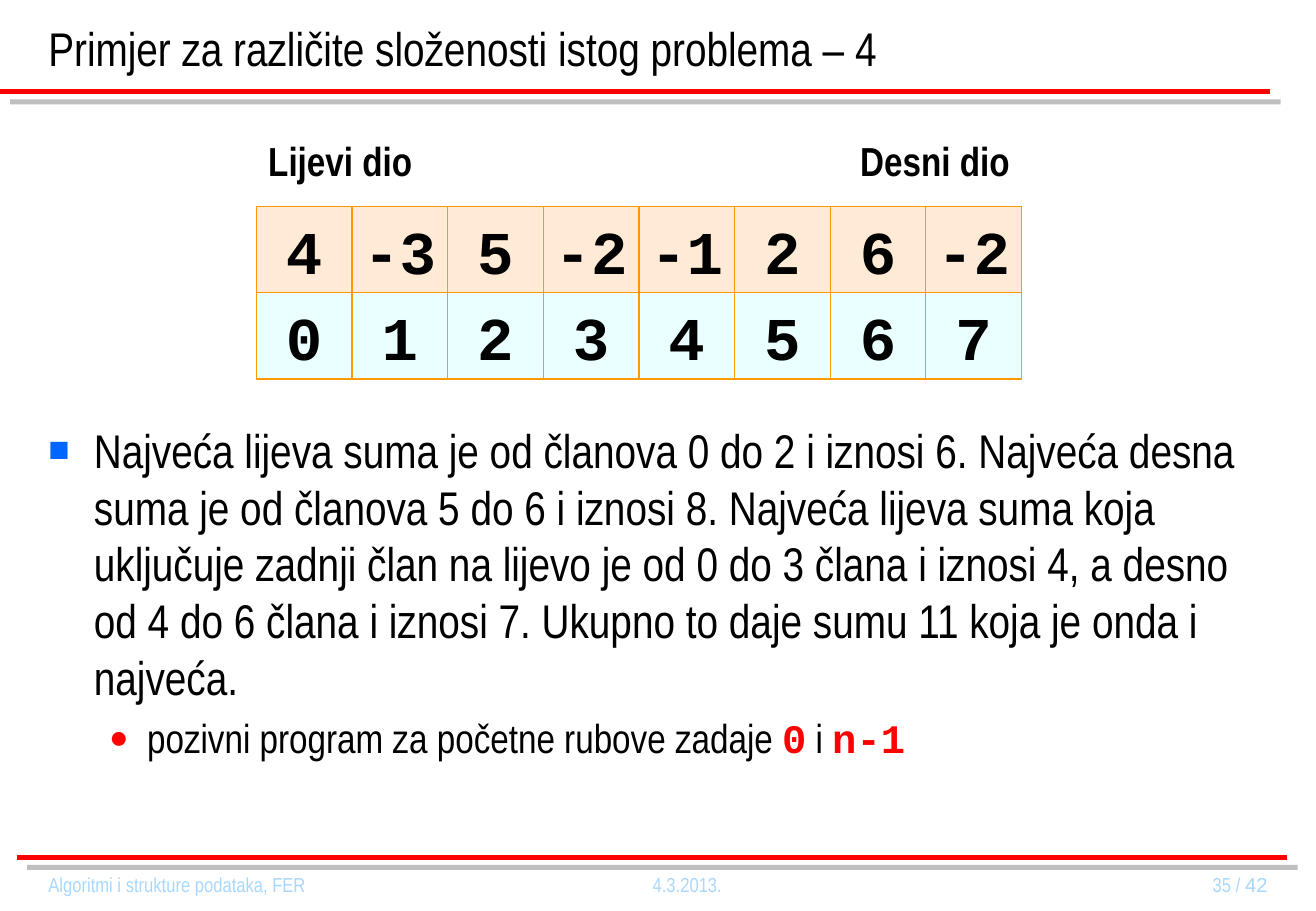
from lxml import etree
from pptx import Presentation
from pptx.dml.color import RGBColor
from pptx.enum.shapes import MSO_CONNECTOR, MSO_SHAPE
from pptx.enum.text import MSO_ANCHOR as Anchor, PP_ALIGN as Align
from pptx.oxml import parse_xml
from pptx.oxml.ns import nsdecls, qn
from pptx.util import Pt

color = RGBColor.from_string
NARROW, MONO = "Arial Narrow", "Courier New"


def add_run(paragraph, text, size, font=NARROW, ink="000000", bold=False):
    run = paragraph.add_run()
    run.text = text
    run.font.size = Pt(size)
    run.font.name = font
    run.font.bold = bold
    run.font.color.rgb = color(ink)


def add_box(left, top, width, height, align=Align.LEFT, anchor=Anchor.TOP):
    frame = slide.shapes.add_textbox(Pt(left), Pt(top), Pt(width), Pt(height)).text_frame
    frame.word_wrap = True
    frame.vertical_anchor = anchor
    frame.paragraphs[0].alignment = align
    return frame


prs = Presentation()
prs.slide_width, prs.slide_height = Pt(780), Pt(540)
slide = prs.slides.add_slide(prs.slide_layouts[6])

for left, top in [(0, 54.4), (10.1, 508.1)]:
    rule = slide.shapes.add_connector(
        MSO_CONNECTOR.STRAIGHT, Pt(left), Pt(top), Pt(left + 753), Pt(top))
    rule.line.color.rgb = color("FF0000")
    rule.line.width = Pt(3)
    rule._element.spPr.append(parse_xml(
        f'<a:effectLst {nsdecls("a")}>'
        f'<a:outerShdw dist="{Pt(8.5)}" dir="2700000" algn="ctr" rotWithShape="0">'
        '<a:srgbClr val="808080"><a:alpha val="50000"/></a:srgbClr>'
        '</a:outerShdw></a:effectLst>'))

title = add_box(21.6, 0, 731.5, 48.4, anchor=Anchor.BOTTOM)
add_run(title.paragraphs[0], "Primjer za različite složenosti istog problema – 4", 28)

GRID_LEFT, GRID_TOP, CELL_WIDTH, CELL_HEIGHT = 151.9, 122.5, 56.7, 51.1
half_width = 4 * CELL_WIDTH
for half, (label, align) in enumerate([("Lijevi dio", Align.LEFT), ("Desni dio", Align.RIGHT)]):
    heading = add_box(GRID_LEFT + half * half_width, 77, half_width, 36, align)
    add_run(heading.paragraphs[0], label, 24, bold=True)

members = [4, -3, 5, -2, -1, 2, 6, -2]
for row, (numbers, tint) in enumerate([(members, "FFCC99"), (range(8), "CCFFFF")]):
    for column, number in enumerate(numbers):
        cell = slide.shapes.add_shape(
            MSO_SHAPE.RECTANGLE,
            Pt(GRID_LEFT + column * CELL_WIDTH), Pt(GRID_TOP + row * CELL_HEIGHT),
            Pt(CELL_WIDTH), Pt(CELL_HEIGHT))
        cell.shadow.inherit = False
        cell.fill.solid()
        cell.fill.fore_color.rgb = color(tint)
        tint_element = cell._element.spPr.find(qn("a:solidFill"))[0]
        etree.SubElement(tint_element, qn("a:alpha"), val="40000")
        cell.line.color.rgb = color("FF9900")
        cell.line.width = Pt(0.75)
        cell.text_frame.word_wrap = False
        cell.text_frame.vertical_anchor = Anchor.MIDDLE
        digit = cell.text_frame.paragraphs[0]
        digit.alignment = Align.CENTER
        add_run(digit, str(number), 36, MONO, bold=True)

explanation = add_box(21.6, 246.2, 737.3, 250.6)
sums = explanation.paragraphs[0]
call = explanation.add_paragraph()
call.level = 1
call.space_before = Pt(4.8)
for paragraph, margin, hanging, ink, percent, mark in [
        (sums, 27, 27, "0066FF", 75, "■"), (call, 58.5, 22.5, "FF0000", 80, "●")]:
    properties = paragraph._p.get_or_add_pPr()
    properties.set("marL", str(Pt(margin)))
    properties.set("indent", str(-Pt(hanging)))
    bullet_color = etree.SubElement(properties, qn("a:buClr"))
    etree.SubElement(bullet_color, qn("a:srgbClr"), val=ink)
    etree.SubElement(properties, qn("a:buSzPct"), val=str(percent * 1000))
    etree.SubElement(properties, qn("a:buFont"), typeface="Arial")
    etree.SubElement(properties, qn("a:buChar"), char=mark)

add_run(sums, "Najveća lijeva suma je od članova 0 do 2 i iznosi 6. Najveća desna suma "
        "je od članova 5 do 6 i iznosi 8. Najveća lijeva suma koja uključuje zadnji član "
        "na lijevo je od 0 do 3 člana i iznosi 4, a desno od 4 do 6 člana i iznosi 7. "
        "Ukupno to daje sumu 11 koja je onda i najveća.", 28)
add_run(call, "pozivni program za početne rubove zadaje ", 24)
add_run(call, "0", 24, MONO, "FF0000", True)
add_run(call, " i ", 24)
add_run(call, "n-1", 24, MONO, "FF0000", True)

for left, width, align, pieces in [
        (21.6, 240, Align.LEFT, [("Algoritmi i strukture podataka, FER", NARROW)]),
        (327.4, 160, Align.CENTER, [("4.3.2013.", NARROW)]),
        (638.4, 120, Align.RIGHT, [("35 / ", NARROW), ("42", "Arial")])]:
    footer = add_box(left, 513.4, width, 22, align, Anchor.MIDDLE)
    for text, font in pieces:
        add_run(footer.paragraphs[0], text, 12, font, "A8D8FF")

prs.save("out.pptx")
